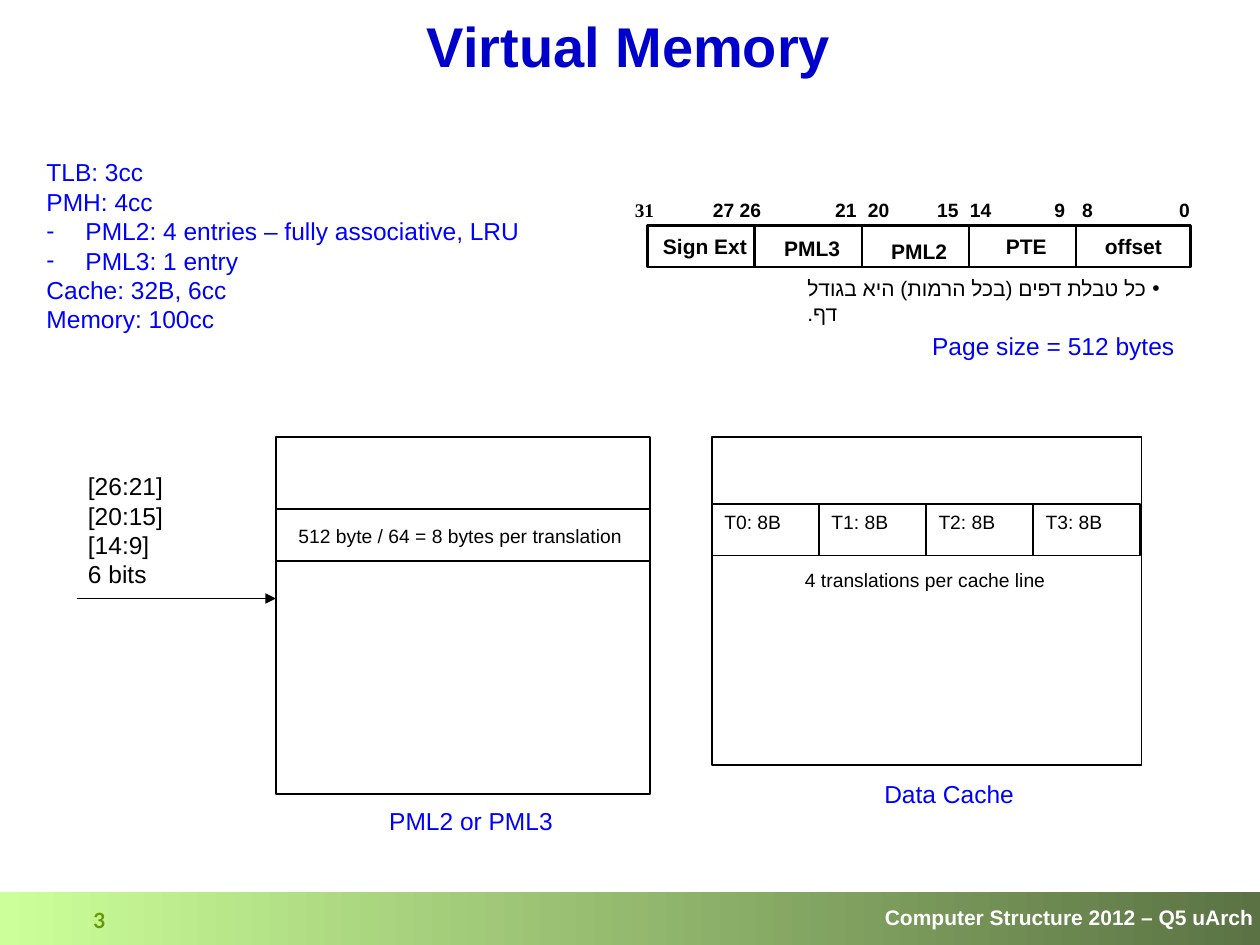
from pptx import Presentation
from pptx.util import Inches, Pt
from pptx.dml.color import RGBColor
from pptx.enum.shapes import MSO_SHAPE as Kind, MSO_CONNECTOR as Wire
from pptx.enum.text import PP_ALIGN as Align, MSO_ANCHOR as Anchor
from pptx.oxml.ns import qn
from lxml.etree import SubElement as Sub

BLACK = RGBColor(0, 0, 0)
WHITE = RGBColor(255, 255, 255)
BLUE = RGBColor(0, 0, 255)
NAVY = RGBColor(0, 0, 204)
GREEN = RGBColor(0x66, 0x99, 0)
LIME = RGBColor(0xCC, 0xFF, 0x99)
MOSS = RGBColor(0x5B, 0x73, 0x44)

deck = Presentation()
deck.slide_width, deck.slide_height = Inches(10), Inches(7.5)
slide = deck.slides.add_slide(deck.slide_layouts[6])
shapes = slide.shapes


def write(text, at=None, shape=None, size=14, color=BLACK, bold=False, font="Arial",
          align=Align.LEFT, anchor=Anchor.TOP, wrap=False, pad=(0.1, 0.05, 0.1, 0.05)):
    shape = shape or shapes.add_textbox(*map(Inches, at))
    frame = shape.text_frame
    frame.word_wrap = wrap
    frame.vertical_anchor = anchor
    (frame.margin_left, frame.margin_top,
     frame.margin_right, frame.margin_bottom) = map(Inches, pad)
    frame.text = text
    for para in frame.paragraphs:
        para.alignment = align
        for run in para.runs:
            run.font.size, run.font.bold, run.font.name = Pt(size), bold, font
            run.font.color.rgb = color
    return frame.paragraphs


def box(left, top, width, height, line=1, fill=None):
    rect = shapes.add_shape(Kind.RECTANGLE, *map(Inches, (left, top, width, height)))
    rect.shadow.inherit = False
    if fill is None:
        rect.fill.background()
    else:
        rect.fill.solid()
        rect.fill.fore_color.rgb = fill
    if line:
        rect.line.color.rgb, rect.line.width = BLACK, Pt(line)
    else:
        rect.line.fill.background()
    return rect


bar = box(0, 7.08, 10, 0.42, line=0)
bar.fill.gradient()
bar.fill.gradient_angle = 0
for stop, tone, place in zip(bar.fill.gradient_stops, (LIME, MOSS), (0, 1)):
    stop.color.rgb, stop.position = tone, place
write("Computer Structure 2012 – Q5 uArch", shape=bar, size=12, color=WHITE, bold=True,
      align=Align.RIGHT, anchor=Anchor.MIDDLE, pad=(0, 0, 0.05, 0.03))
write("3", (0.5, 7.15, 0.58, 0.28), size=12, color=GREEN, bold=True, font="Lato",
      align=Align.CENTER, wrap=True)
write("Virtual Memory", (0.95, 0.18, 8.08, 0.35), size=32, color=NAVY, bold=True,
      align=Align.CENTER, anchor=Anchor.MIDDLE, wrap=True)

fields = [("Sign Ext", 0.05, 0.05), ("PML3", 0.07, 0.05), ("PML2", 0.07, 0),
          ("PTE", 0.05, 0.05), ("offset", 0.05, 0.05)]
for i, (name, top, low) in enumerate(fields):
    write(name, shape=box(5.14 + 0.85 * i, 1.79, 0.91, 0.33, 1.5, WHITE), size=12, bold=True,
          align=Align.CENTER, anchor=Anchor.MIDDLE, pad=(0.1, top, 0.1, low))

bits = write("31\t27 26\t21\t20\t15\t14\t9\t8\t0", (4.94, 1.5, 4.73, 0.33), size=11,
             bold=True, anchor=Anchor.MIDDLE, wrap=True)[0]
tabs = Sub(bits._p.get_or_add_pPr(), qn("a:tabLst"))
for stop in (0.62, 1.59, 1.85, 2.4, 2.66, 3.33, 3.55, 4.32):
    Sub(tabs, qn("a:tab"), pos=str(Inches(stop)), algn="l")
rest = bits.runs[0]
rest.text = rest.text.removeprefix("31")
first = bits.add_run()
first.text = "31"
first.font.size, first.font.bold, first.font.name = Pt(11), True, "Times New Roman"
first.font.color.rgb = BLACK
rest._r.addprevious(first._r)

costs = write("TLB: 3cc\nPMH: 4cc\nPML2: 4 entries – fully associative, LRU\n"
              "PML3: 1 entry\nCache: 32B, 6cc\nMemory: 100cc",
              (0.27, 1.2, 4.11, 1.51), color=BLUE)
note = write(" כל טבלת דפים (בכל הרמות) היא בגודל דף.", (6.31, 2.2, 3.14, 0.37),
             size=12, anchor=Anchor.MIDDLE, wrap=True)[0]
for para, mark, left, back in [(costs[2], "-", 0.31, -0.31), (costs[3], "-", 0.31, -0.31),
                               (note, "•", 0, 0)]:
    props = para._p.get_or_add_pPr()
    props.set("marL", str(Inches(left)))
    props.set("indent", str(Inches(back)))
    Sub(props, qn("a:buFont"), typeface="Arial")
    Sub(props, qn("a:buChar"), char=mark)
note._p.get_or_add_pPr().set("rtl", "1")
face = note.runs[0]._r.get_or_add_rPr()
face.set("lang", "he-IL")
Sub(face, qn("a:cs"), typeface="Arial")

box(2.19, 3.47, 2.97, 2.83)
box(2.19, 4.04, 2.97, 0.41)
box(5.65, 3.47, 3.41, 2.6)
for i in range(4):
    write(f"T{i}: 8B", shape=box(5.65 + 0.85 * i, 4, 0.85, 0.41), size=11)

for text, at, size, color in [
    ("PML2 or PML3", (2.99, 6.35, 1.51, 0.34), 14, BLUE),
    ("Data Cache", (6.92, 6.13, 1.24, 0.34), 14, BLUE),
    ("Page size = 512 bytes", (7.3, 2.58, 2.13, 0.34), 14, BLUE),
    ("[26:21]\n[20:15]\n[14:9]\n6 bits", (0.6, 3.69, 0.8, 1.04), 14, BLACK),
    ("512 byte / 64 = 8 bytes per translation", (2.27, 4.11, 2.78, 0.29), 11, BLACK),
    ("4 translations per cache line", (6.29, 4.46, 2.12, 0.29), 11, BLACK),
]:
    write(text, at, size=size, color=color)

arrow = shapes.add_connector(Wire.STRAIGHT, *map(Inches, (0.61, 4.75, 2.19, 4.75)))
arrow.line.color.rgb, arrow.line.width = BLACK, Pt(1)
Sub(arrow.line._get_or_add_ln(), qn("a:tailEnd"), type="triangle")
Sub(arrow._element.spPr, qn("a:effectLst"))

deck.save("out.pptx")
